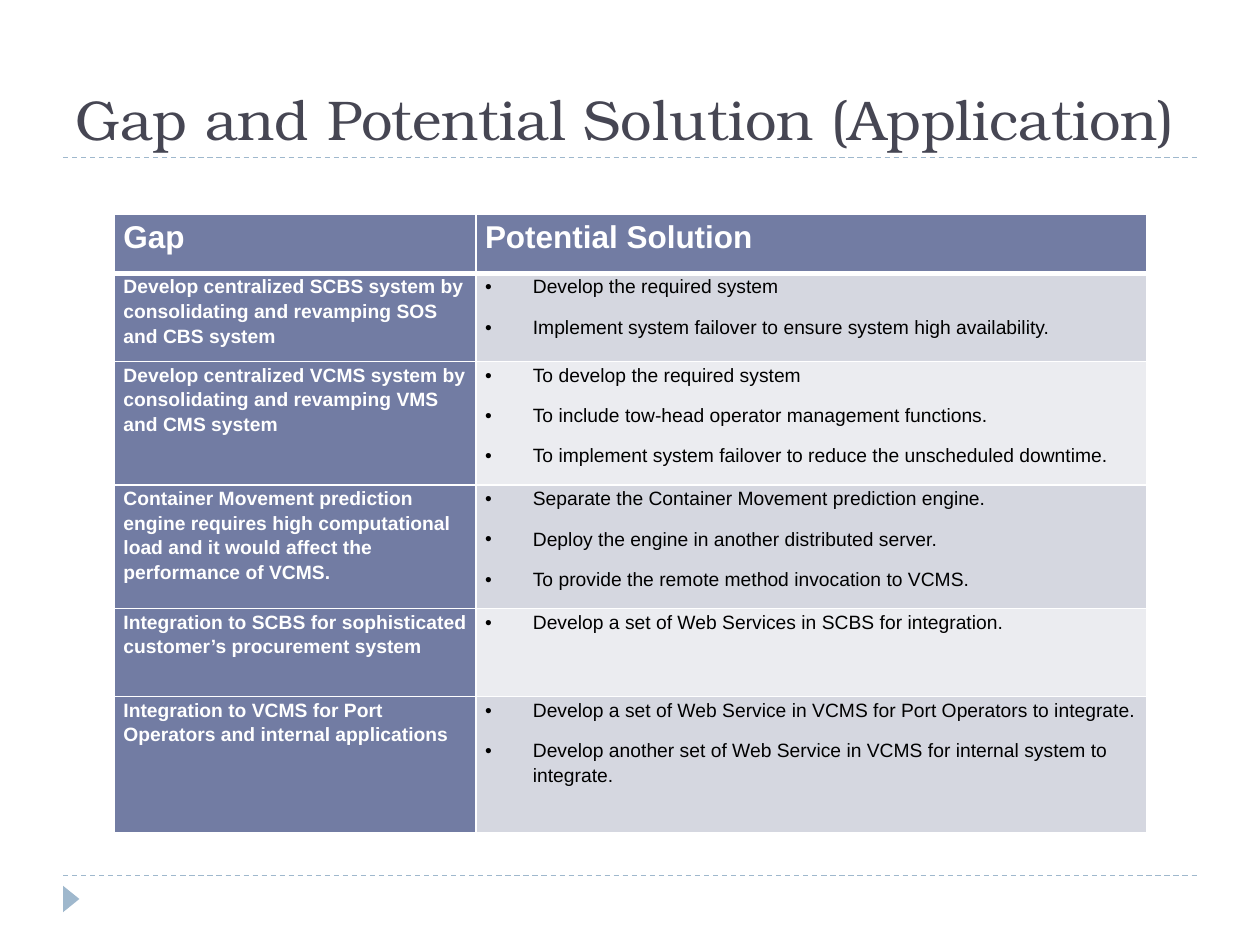
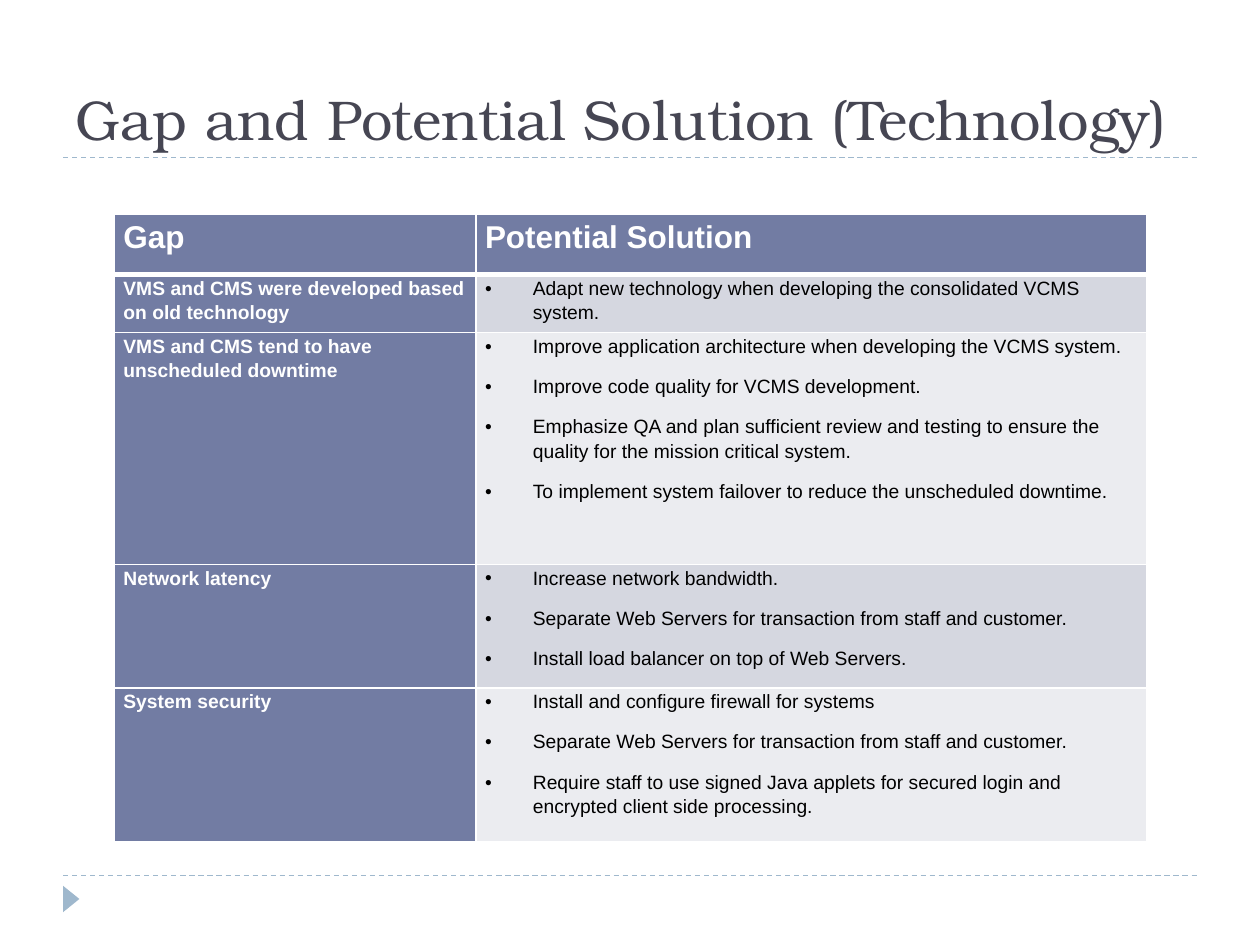
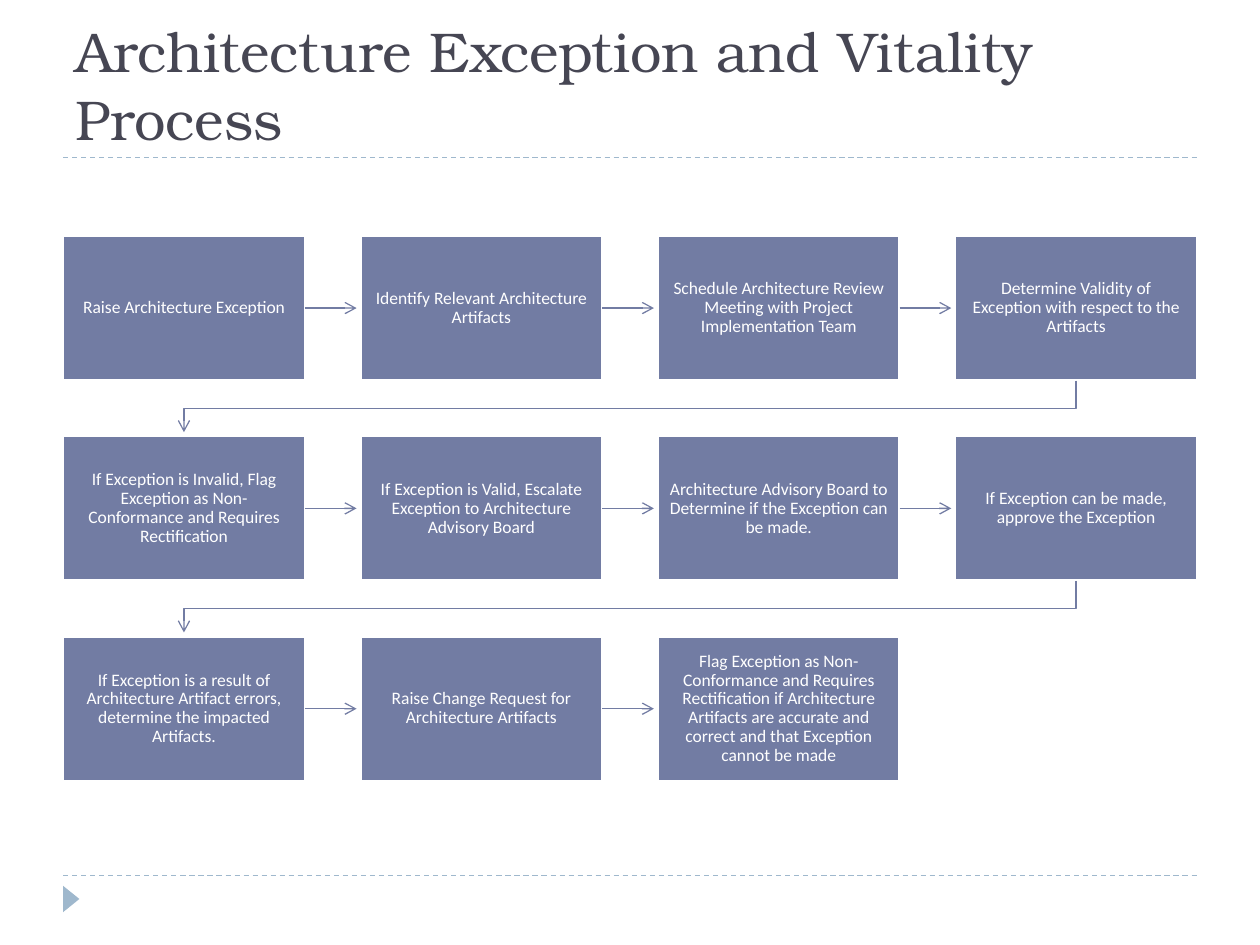
from dataclasses import dataclass

from lxml.etree import SubElement
from pptx import Presentation
from pptx.dml.color import RGBColor
from pptx.enum.dml import MSO_LINE
from pptx.enum.shapes import MSO_CONNECTOR, MSO_SHAPE
from pptx.enum.text import MSO_ANCHOR, PP_ALIGN
from pptx.oxml.ns import qn
from pptx.util import Inches, Pt

STRAIGHT = MSO_CONNECTOR.STRAIGHT
RECTANGLE = MSO_SHAPE.RECTANGLE
TRIANGLE = MSO_SHAPE.ISOSCELES_TRIANGLE
DASH = MSO_LINE.DASH
MIDDLE, BOTTOM = MSO_ANCHOR.MIDDLE, MSO_ANCHOR.BOTTOM
CENTER = PP_ALIGN.CENTER
RIGHT_SIDE = 3


@dataclass(frozen=True)
class Theme:
    title_font: str = "TeX Gyre Bonum"
    table_font: str = "Arial"
    box_font: str = "Calibri"
    title_size: int = 32
    header_size: int = 18
    table_size: int = 11
    box_size: int = 10
    title: str = "464653"
    accent: str = "727CA3"
    rule: str = "9FB8CD"
    light: str = "FFFFFF"
    dark: str = "000000"
    bands: tuple = ("D5D7E0", "EBECF0")


THEME = Theme()

# Slide frame, in inches
WIDTH, HEIGHT = 10, 7.5
MARGIN = 0.05 * WIDTH
CONTENT_WIDTH = WIDTH - 2 * MARGIN
TITLE_TOP, TITLE_RULE, FOOTER_RULE = 0.17, 1.25, 6.95

# Table frame
TABLE_LEFT, TABLE_TOP = 0.91, 1.7
TABLE_COLUMNS = (2.87, 5.32)
TABLE_HEADER = ("Gap", "Potential Solution")
BULLET_INDENT = 0.38

# Process grid: four columns, reading row by row
GRID_COLUMNS = 4
GRID_TOP = 1.87
BOX_WIDTH, BOX_HEIGHT = 1.92, 1.15
COLUMN_STEP = (CONTENT_WIDTH - BOX_WIDTH) / (GRID_COLUMNS - 1)
ROW_STEP = 1.59
ARROW_GAP = 0.03

APPLICATION_ROWS = [
    (0.7, "Develop centralized SCBS system by consolidating and revamping SOS and CBS system",
     ["Develop the required system",
      "Implement system failover to ensure system high availability."]),
    (0.98, "Develop centralized VCMS system by consolidating and revamping VMS and CMS system",
     ["To develop the required system",
      "To include tow-head operator management functions.",
      "To implement system failover to reduce the unscheduled downtime."]),
    (0.98, "Container Movement prediction engine requires high computational load and it "
     "would affect the performance of VCMS.",
     ["Separate the Container Movement prediction engine.",
      "Deploy the engine in another distributed server.",
      "To provide the remote method invocation to VCMS."]),
    (0.7, "Integration to SCBS for sophisticated customer’s procurement system",
     ["Develop a set of Web Services in SCBS for integration."]),
    (1.08, "Integration to VCMS for Port Operators and internal applications",
     ["Develop a set of Web Service in VCMS for Port Operators to integrate.",
      "Develop another set of Web Service in VCMS for internal system to integrate."]),
]

TECHNOLOGY_ROWS = [
    (0.46, "VMS and CMS were developed based on old technology",
     ["Adapt new technology when developing the consolidated VCMS system."]),
    (1.84, "VMS and CMS tend to have unscheduled downtime",
     ["Improve application architecture when developing the VCMS system.",
      "Improve code quality for VCMS development.",
      "Emphasize QA and plan sufficient review and testing to ensure the quality for the "
      "mission critical system.",
      "To implement system failover to reduce the unscheduled downtime."]),
    (0.98, "Network latency",
     ["Increase network bandwidth.",
      "Separate Web Servers for transaction from staff and customer.",
      "Install load balancer on top of Web Servers."]),
    (1.22, "System security",
     ["Install and configure firewall for systems",
      "Separate Web Servers for transaction from staff and customer.",
      "Require staff to use signed Java applets for secured login and encrypted client "
      "side processing."]),
]

PROCESS_STEPS = [
    "Raise Architecture Exception",
    "Identify Relevant Architecture Artifacts",
    "Schedule Architecture Review Meeting with Project Implementation Team",
    "Determine Validity of Exception with respect to the Artifacts",
    "If Exception is Invalid, Flag Exception as Non-Conformance and Requires Rectification",
    "If Exception is Valid, Escalate Exception to Architecture Advisory Board",
    "Architecture Advisory Board to Determine if the Exception can be made.",
    "If Exception can be made, approve the Exception",
    "If Exception is a result of Architecture Artifact errors, determine the impacted Artifacts.",
    "Raise Change Request for Architecture Artifacts",
    "Flag Exception as Non-Conformance and Requires Rectification if Architecture Artifacts "
    "are accurate and correct and that Exception cannot be made",
]


# Basic elements
def color(value):
    return RGBColor.from_string(value)


def add_span(para, text, font, size, ink, bold=False):
    span = para.add_run()
    span.text = text
    span.font.name = font
    span.font.size = Pt(size)
    span.font.bold = bold
    span.font.color.rgb = color(ink)


def paint(shape, fill):
    shape.shadow.inherit = False
    shape.fill.solid()
    shape.fill.fore_color.rgb = color(fill)


def style_line(line, ink, width):
    line.color.rgb = color(ink)
    line.width = Pt(width)


def add_line(page, start, end, ink):
    line = page.shapes.add_connector(STRAIGHT, *map(Inches, start + end))
    style_line(line.line, ink, 0.75)
    SubElement(line._element.spPr, qn("a:effectLst"))
    return line


def add_arrowhead(shape):
    outline = shape._element.spPr.find(qn("a:ln"))
    SubElement(outline, qn("a:tailEnd"), type="arrow")


# Shared frame: rules, footer marker and title
def add_page(deck, title):
    page = deck.slides.add_slide(deck.slide_layouts[6])
    for height in (FOOTER_RULE, TITLE_RULE):
        rule = add_line(page, (MARGIN, height), (WIDTH - MARGIN, height), THEME.rule)
        rule.line.dash_style = DASH
    marker = page.shapes.add_shape(TRIANGLE, *map(Inches, (0.46, 7.07, 0.21, 0.13)))
    marker.rotation = 90
    paint(marker, THEME.rule)
    marker.line.fill.background()

    box = page.shapes.add_textbox(*map(Inches, (
        MARGIN, TITLE_TOP, CONTENT_WIDTH, TITLE_RULE - TITLE_TOP)))
    frame = box.text_frame
    frame.word_wrap = True
    frame.vertical_anchor = BOTTOM
    add_span(frame.paragraphs[0], title, THEME.title_font, THEME.title_size, THEME.title)
    return page


# Tables
def add_borders(cell, top, bottom):
    properties = cell._tc.get_or_add_tcPr()
    for side, width in (("L", 1), ("R", 1), ("T", top), ("B", bottom)):
        border = SubElement(properties, qn(f"a:ln{side}"), w=str(Pt(width)))
        SubElement(SubElement(border, qn("a:solidFill")), qn("a:srgbClr"), val=THEME.light)


def add_bullet(para):
    properties = para._p.get_or_add_pPr()
    properties.set("marL", str(Inches(BULLET_INDENT)))
    properties.set("indent", str(-Inches(BULLET_INDENT)))
    SubElement(properties, qn("a:buFont"), typeface=THEME.table_font)
    SubElement(properties, qn("a:buChar"), char="•")


def fill_cell(cell, texts, fill, size, ink, bulleted=False, top=1, bottom=1):
    cell.margin_left = cell.margin_right = Inches(0.07)
    cell.margin_top = cell.margin_bottom = 0
    add_borders(cell, top, bottom)
    cell.fill.solid()
    cell.fill.fore_color.rgb = color(fill)
    for index, text in enumerate(texts):
        frame = cell.text_frame
        para = frame.add_paragraph() if index else frame.paragraphs[0]
        para.line_spacing = 1.15
        para.space_before = Pt(6 if index else 0)
        para.space_after = Pt(3)
        if bulleted:
            add_bullet(para)
        add_span(para, text, THEME.table_font, size, ink, bold=not bulleted)


def add_gap_table(page, header_height, rows):
    heights = [header_height] + [height for height, _, _ in rows]
    table = page.shapes.add_table(len(heights), len(TABLE_COLUMNS), *map(Inches, (
        TABLE_LEFT, TABLE_TOP, sum(TABLE_COLUMNS), sum(heights)))).table
    for column, width in zip(table.columns, TABLE_COLUMNS):
        column.width = Inches(width)
    for row, height in zip(table.rows, heights):
        row.height = Inches(height)

    for column, text in enumerate(TABLE_HEADER):
        fill_cell(table.cell(0, column), [text], THEME.accent, THEME.header_size,
                  THEME.light, bottom=3)
    for index, (_, gap, solutions) in enumerate(rows):
        top = 1 if index else 3
        fill_cell(table.cell(index + 1, 0), [gap], THEME.accent, THEME.table_size,
                  THEME.light, top=top)
        fill_cell(table.cell(index + 1, 1), solutions, THEME.bands[index % 2],
                  THEME.table_size, THEME.dark, bulleted=True, top=top)


# Process flow
def grid_place(index):
    row, column = divmod(index, GRID_COLUMNS)
    return MARGIN + column * COLUMN_STEP, GRID_TOP + row * ROW_STEP


def add_step(page, index, text):
    left, top = grid_place(index)
    box = page.shapes.add_shape(RECTANGLE, *map(Inches, (left, top, BOX_WIDTH, BOX_HEIGHT)))
    paint(box, THEME.accent)
    style_line(box.line, THEME.light, 1.5)
    frame = box.text_frame
    frame.word_wrap = True
    frame.vertical_anchor = MIDDLE
    frame.margin_left = frame.margin_right = Inches(0.08)
    frame.margin_top = frame.margin_bottom = Inches(0.08)
    para = frame.paragraphs[0]
    para.alignment = CENTER
    para.line_spacing = 0.9
    add_span(para, text, THEME.box_font, THEME.box_size, THEME.light)
    return box


def add_row_arrow(page, index, box):
    left, top = grid_place(index)
    middle = top + BOX_HEIGHT / 2
    arrow = add_line(page, (left + BOX_WIDTH, middle),
                     (left + COLUMN_STEP - ARROW_GAP, middle), THEME.accent)
    arrow.begin_connect(box, RIGHT_SIDE)
    add_arrowhead(arrow)


def add_return_arrow(page, index):
    left, top = grid_place(index)
    next_left, next_top = grid_place(index + 1)
    start_x, end_x = left + BOX_WIDTH / 2, next_left + BOX_WIDTH / 2
    start_y = top + BOX_HEIGHT
    turn_y = (start_y + next_top) / 2
    points = [(start_x, turn_y), (end_x, turn_y), (end_x, next_top - ARROW_GAP)]
    builder = page.shapes.build_freeform(Inches(start_x), Inches(start_y))
    builder.add_line_segments([(Inches(x), Inches(y)) for x, y in points], close=False)
    arrow = builder.convert_to_shape()
    arrow.shadow.inherit = False
    arrow.fill.background()
    style_line(arrow.line, THEME.accent, 0.75)
    add_arrowhead(arrow)


def add_process(page, steps):
    boxes = [add_step(page, index, text) for index, text in enumerate(steps)]
    for index, box in enumerate(boxes[:-1]):
        if (index + 1) % GRID_COLUMNS:
            add_row_arrow(page, index, box)
        else:
            add_return_arrow(page, index)


def main():
    deck = Presentation()
    deck.slide_width, deck.slide_height = Inches(WIDTH), Inches(HEIGHT)

    page = add_page(deck, "Gap and Potential Solution (Application)")
    add_gap_table(page, 0.47, APPLICATION_ROWS)

    page = add_page(deck, "Gap and Potential Solution (Technology)")
    add_gap_table(page, 0.48, TECHNOLOGY_ROWS)

    page = add_page(deck, "Architecture Exception and Vitality Process")
    add_process(page, PROCESS_STEPS)

    deck.save("out.pptx")


if __name__ == "__main__":
    main()
